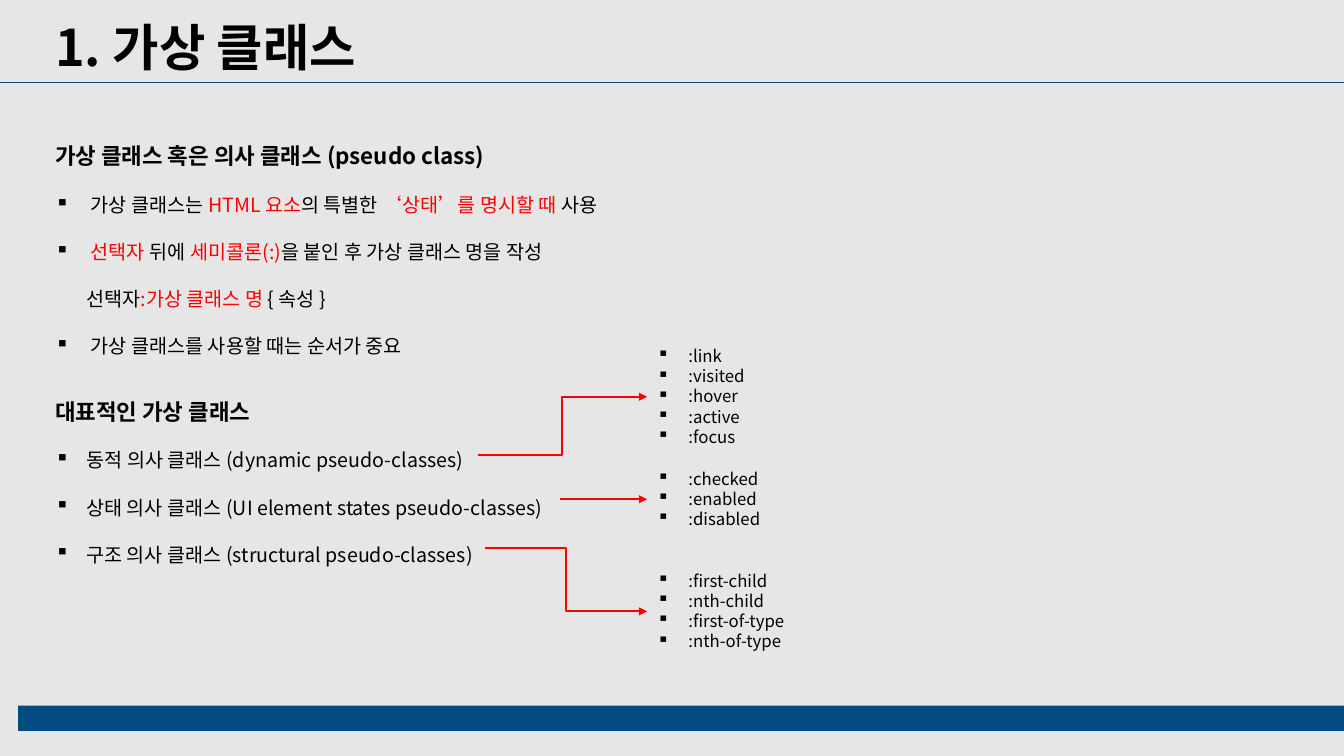
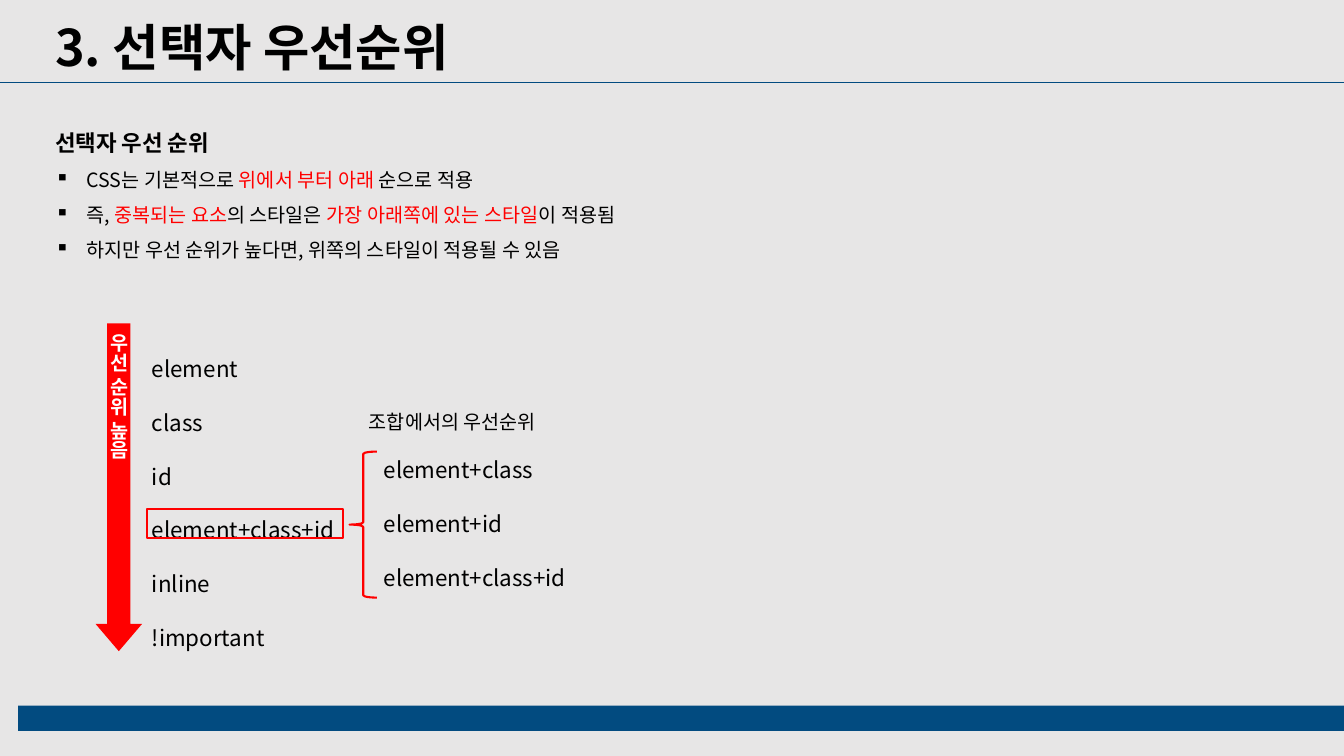
from lxml.etree import SubElement
from pptx import Presentation
from pptx.dml.color import RGBColor as RGB
from pptx.enum.shapes import MSO_CONNECTOR as LINK, MSO_SHAPE as SHAPE
from pptx.enum.text import MSO_ANCHOR as ANCHOR, PP_ALIGN as ALIGN
from pptx.oxml.ns import qn
from pptx.util import Cm, Pt

FONT = "Noto Sans CJK KR"
COLORS = {"paper": "E7E6E6", "band": "024B80", "ink": "000000",
          "accent": "FF0000", "white": "FFFFFF"}

# Lengths are in centimetres. Text between asterisks takes the accent colour.
WIDTH, HEIGHT = 33.87, 19.05
BAND_BOX = (0.46, 17.78, 33.41, 0.64)
TITLE_BOX = (1.14, 0.28, 22.12, 1.8)
RULE_Y = 2.08
INDENT = 0.79

# Paragraph values, font values, and whether a bullet is shown
STYLES = {
    "title": ({}, {"size": Pt(36), "bold": True}, False),
    "head": ({"line_spacing": 2.0}, {"size": Pt(16), "bold": True}, False),
    "next head": ({"line_spacing": 2.0, "space_before": Pt(9.6)},
                  {"size": Pt(16), "bold": True}, False),
    "point": ({"line_spacing": 2.0}, {"size": Pt(14)}, True),
    "tight head": ({"line_spacing": 1.5}, {"size": Pt(16), "bold": True}, False),
    "tight point": ({"line_spacing": 1.5}, {"size": Pt(14)}, True),
    "example": ({}, {"size": Pt(12)}, True),
    "rank": ({"line_spacing": 2.0}, {"size": Pt(16)}, False),
    "combo": ({}, {"size": Pt(16)}, False),
    "next combo": ({"space_before": Pt(19.2)}, {"size": Pt(16)}, False),
    "label": ({"line_spacing": 1.5, "alignment": ALIGN.CENTER},
              {"size": Pt(14)}, False),
    "arrow": ({"alignment": ALIGN.CENTER}, {"size": Pt(14), "bold": True}, False),
}

PSEUDO_TITLE = "1. 가상 클래스"
PSEUDO_BOX = (1.14, 2.79, 14.83, 13.16)
PSEUDO_TEXT = [
    ("head", "가상 클래스 혹은 의사 클래스 (pseudo class)"),
    ("point", " 가상 클래스는 *HTML 요소*의 특별한 *‘상태’를 명시할 때 *사용"),
    ("point", " *선택자 *뒤에 *세미콜론(:)*을 붙인 후 가상 클래스 명을 작성\n"
              "선택자*:가상 클래스 명 *{ 속성 }"),
    ("point", " 가상 클래스를 사용할 때는 순서가 중요"),
    ("next head", "대표적인 가상 클래스"),
    ("point", "동적\u00a0의사 클래스 (dynamic pseudo-classes)"),
    ("point", "상태 의사 클래스 (UI element states pseudo-classes)"),
    ("point", "구조 의사 클래스 (structural pseudo-classes)"),
]
# List top, start of its arrow (None keeps the arrow level), entries
EXAMPLE_X, EXAMPLE_W, EXAMPLE_LINE, EXAMPLE_PAD = 16.31, 6.58, 0.51, 0.27
EXAMPLES = [
    (8.59, (12.04, 11.46), [":link", ":visited", ":hover", ":active", ":focus"]),
    (11.68, (14.1, None), [":checked", ":enabled", ":disabled"]),
    (14.25, (12.22, 13.82),
     [":first-child", ":nth-child", ":first-of-type", ":nth-of-type"]),
]

ORDER_TITLE = "3. 선택자 우선순위"
ORDER_BOX = (1.14, 2.79, 24.28, 3.99)
ORDER_TEXT = [
    ("tight head", "선택자 우선 순위"),
    ("tight point", "CSS는 기본적으로 *위에서 부터 아래* 순으로 적용"),
    ("tight point", "즉, *중복되는 요소*의 스타일은 *가장 아래쪽에 있는 스타일*이 적용됨"),
    ("tight point", "하지만 우선 순위가 높다면, 위쪽의 스타일이 적용될 수 있음"),
]
RANK_TOP, RANK_H = 8.15, 8.26
RANKS = ["element", "class", "id", "element+class+id", "inline", "!important"]
ARROW_X, ARROW_W = 2.41, 1.17
ARROW_TEXT = "우선 순위 높음"
FRAME_BOX = (3.71, 12.83, 4.93, 0.74)
COMBO_TOP, COMBO_H = 11.38, 3.68
COMBOS = [("combo", "element+class"), ("next combo", "element+id"),
          ("next combo", "element+class+id")]
LABEL_BOX = (8.66, 9.91, 5.49, 1.14)
LABEL = "조합에서의 우선순위"


def rgb(name):
    """Return a named colour."""
    return RGB.from_string(COLORS[name])


def cms(box):
    """Turn plain numbers into lengths."""
    return [Cm(v) for v in box]


def assign(obj, values):
    """Set each attribute held in a dict."""
    for name, value in values.items():
        setattr(obj, name, value)


def add_run(p, text, font, color):
    """Add one run in the deck font."""
    r = p.add_run()
    r.text = text
    assign(r.font, {"name": FONT, **font})
    r.font.color.rgb = rgb(color)
    SubElement(r.font._element, qn("a:ea"), typeface=FONT)


def write(tf, rows, color="ink"):
    """Fill a text frame with (style, text) rows."""
    for i, (style, text) in enumerate(rows):
        para, font, bullet = STYLES[style]
        p = tf.add_paragraph() if i else tf.paragraphs[0]
        assign(p, para)
        if bullet:
            pPr = p._p.get_or_add_pPr()
            pPr.set("marL", str(Cm(INDENT)))
            pPr.set("indent", str(-Cm(INDENT)))
            SubElement(pPr, qn("a:buChar"), char="▪")
        for j, part in enumerate(text.split("*")):
            for k, line in enumerate(part.split("\n")):
                if k:
                    p.add_line_break()
                if line:
                    add_run(p, line, font, "accent" if j % 2 else color)


def add_text(s, box, rows):
    """Add a wrapping text box."""
    tf = s.shapes.add_textbox(*cms(box)).text_frame
    tf.word_wrap = True
    write(tf, rows)


def add_shape(s, kind, box, fill=None, line=None):
    """Add a flat shape with an optional fill and outline."""
    sp = s.shapes.add_shape(kind, *cms(box))
    sp.shadow.inherit = False
    if fill:
        sp.fill.solid()
        sp.fill.fore_color.rgb = rgb(fill)
    else:
        sp.fill.background()
    if line:
        sp.line.color.rgb = rgb(line)
        sp.line.width = Pt(1.5)
    else:
        sp.line.fill.background()
    return sp


def add_line(s, start, end, color, width, arrow=False):
    """Add a line, bent when its ends differ in height."""
    kind = LINK.STRAIGHT if start[1] == end[1] else LINK.ELBOW
    c = s.shapes.add_connector(kind, *cms(start + end))
    c.line.color.rgb = rgb(color)
    c.line.width = Pt(width)
    if arrow:
        SubElement(c.line._get_or_add_ln(), qn("a:tailEnd"), type="triangle")
    SubElement(c._element.spPr, qn("a:effectLst"))


def add_page(prs, title):
    """Add a slide with the shared background, band, title and rule."""
    s = prs.slides.add_slide(prs.slide_layouts[6])
    s.background.fill.solid()
    s.background.fill.fore_color.rgb = rgb("paper")
    add_shape(s, SHAPE.RECTANGLE, BAND_BOX, fill="band")
    add_text(s, TITLE_BOX, [("title", title)])
    add_line(s, (0, RULE_Y), (WIDTH, RULE_Y), "band", 0.5)
    return s


def build_pseudo(prs):
    """Pseudo classes, with an arrow to each list of examples."""
    s = add_page(prs, PSEUDO_TITLE)
    add_text(s, PSEUDO_BOX, PSEUDO_TEXT)
    for top, (x, y), names in EXAMPLES:
        height = EXAMPLE_LINE * len(names) + EXAMPLE_PAD
        middle = top + height / 2
        add_text(s, (EXAMPLE_X, top, EXAMPLE_W, height),
                 [("example", name) for name in names])
        add_line(s, (x, y or middle), (EXAMPLE_X, middle), "accent", 1.5, True)


def build_order(prs):
    """Selector priority, with the combinations bracketed."""
    s = add_page(prs, ORDER_TITLE)
    add_text(s, ORDER_BOX, ORDER_TEXT)
    add_text(s, (ARROW_X + ARROW_W, RANK_TOP, 5.56, RANK_H),
             [("rank", name) for name in RANKS])
    arrow = add_shape(s, SHAPE.DOWN_ARROW,
                      (ARROW_X, RANK_TOP, ARROW_W, RANK_H), fill="accent")
    arrow.adjustments[1] = 0.586
    tf = arrow.text_frame
    tf.vertical_anchor = ANCHOR.MIDDLE
    tf._txBody.bodyPr.set("vert", "eaVert")
    write(tf, [("arrow", ARROW_TEXT)], "white")
    add_text(s, (9.42, COMBO_TOP, 5.56, COMBO_H), COMBOS)
    add_shape(s, SHAPE.RECTANGLE, FRAME_BOX, line="accent")
    add_shape(s, SHAPE.LEFT_BRACE, (8.81, COMBO_TOP, 0.69, COMBO_H), line="accent")
    add_text(s, LABEL_BOX, [("label", LABEL)])


prs = Presentation()
prs.slide_width, prs.slide_height = cms((WIDTH, HEIGHT))
build_pseudo(prs)
build_order(prs)
prs.save("out.pptx")
